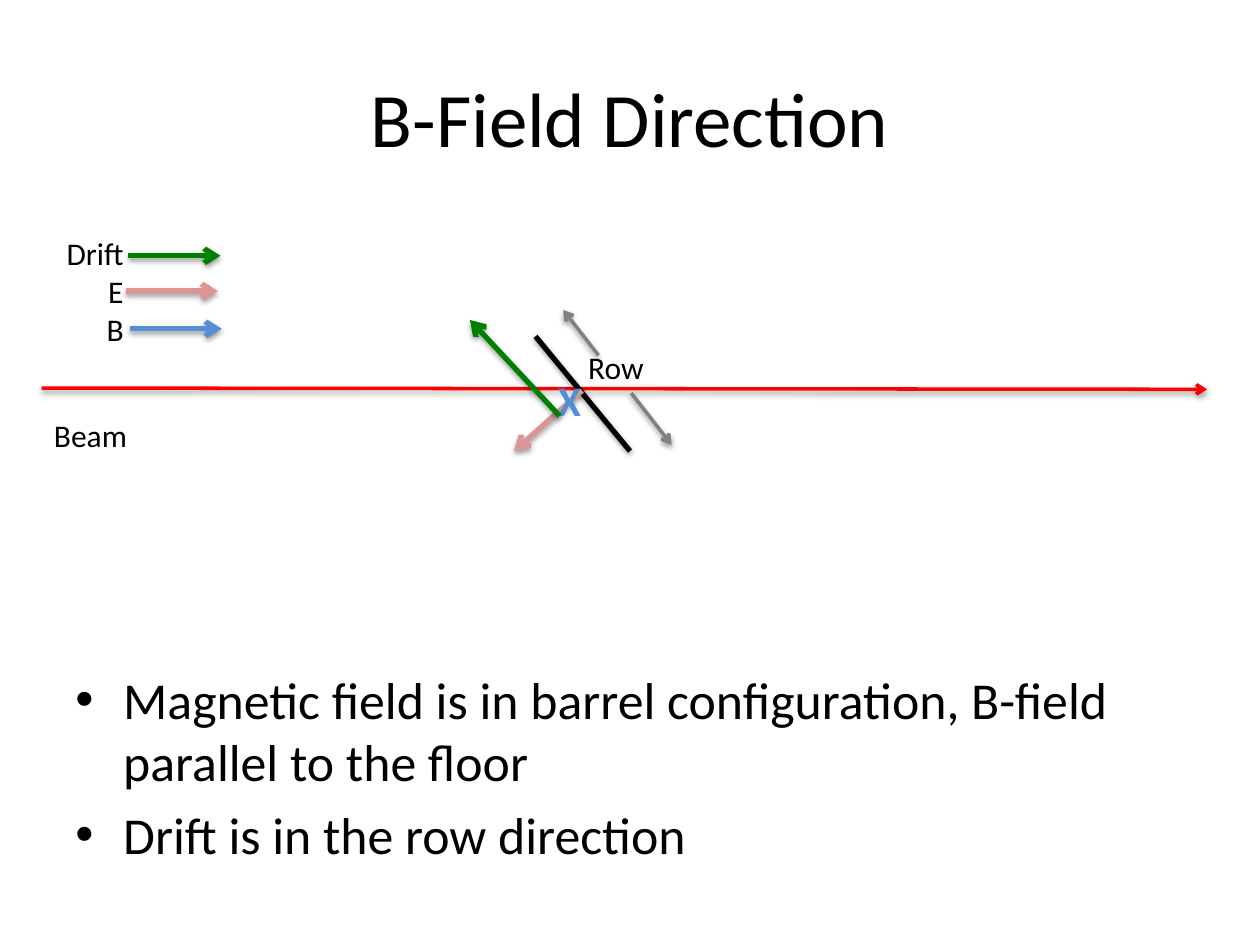
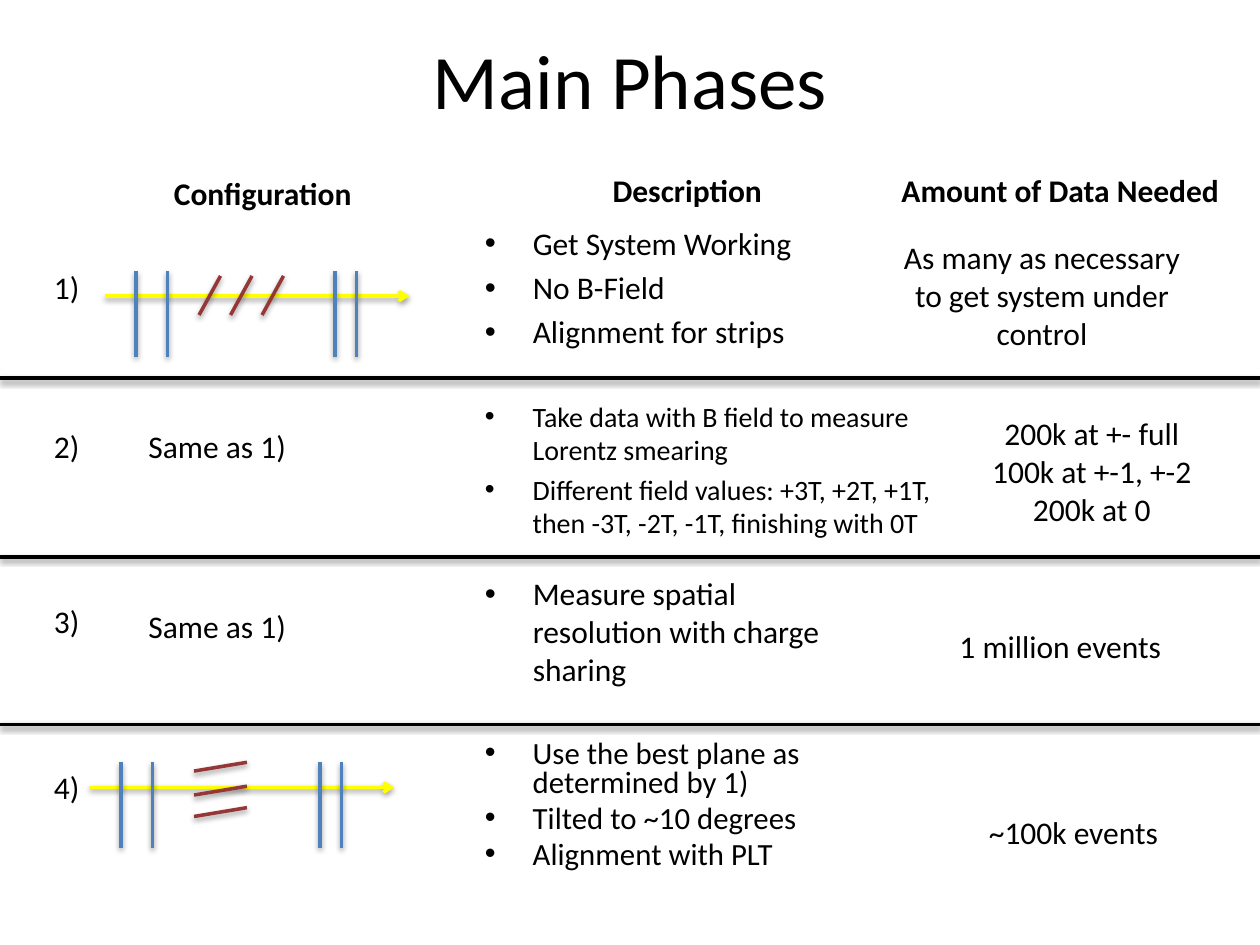
from dataclasses import dataclass

from lxml.etree import SubElement
from pptx import Presentation
from pptx.dml.color import RGBColor
from pptx.enum.shapes import MSO_CONNECTOR as Link
from pptx.enum.text import MSO_ANCHOR as Anchor, MSO_AUTO_SIZE as Auto, PP_ALIGN as Align
from pptx.oxml.ns import qn
from pptx.util import Inches, Pt


@dataclass(frozen=True)
class Theme:
    font: str = "Calibri"
    ink: str = "000000"
    beam: str = "FF0000"
    drift: str = "008000"
    efield: str = "D99694"
    bfield: str = "558ED5"
    row: str = "808080"
    ray: str = "FFFF00"
    plane: str = "4F81BD"
    strip: str = "953735"
    title: float = 44
    lead: float = 29.6
    mark: float = 24
    text: float = 18
    tight: float = 17.6
    small: float = 16
    thin: float = 2
    thick: float = 3


T = Theme()


# Shared elements

def write(frame, lines, size=T.text, color=T.ink, bold=False, align=Align.LEFT,
          bullet=False, lead=None):
    """Fill a text frame, one paragraph for each line."""
    for i, line in enumerate(lines):
        para = frame.add_paragraph() if i else frame.paragraphs[0]
        para.alignment = align
        run = para.add_run()
        run.text = line
        font = run.font
        font.name, font.size, font.bold = T.font, Pt(size), bold
        font.color.rgb = RGBColor.from_string(color)
        if lead:
            para.line_spacing = lead
        if bullet:
            para.space_before = Pt(size * 0.2)
            props = para._p.get_or_add_pPr()
            props.set("marL", str(Inches(0.38)))
            props.set("indent", str(Inches(-0.38)))
            SubElement(props, qn("a:buFont")).set("typeface", "Arial")
            SubElement(props, qn("a:buChar")).set("char", "•")


def label(slide, box, *lines, wrap=True, **style):
    """Add a text box; plain labels grow with their text."""
    frame = slide.shapes.add_textbox(*map(Inches, box)).text_frame
    frame.word_wrap = wrap
    frame.auto_size = Auto.NONE if style.get("bullet") else Auto.SHAPE_TO_FIT_TEXT
    write(frame, lines, **style)


def shade(props):
    """Give a line its soft shadow, straight below."""
    effect = SubElement(props, qn("a:effectLst"))
    drop = SubElement(effect, qn("a:outerShdw"), blurRad="40000", dist="20000",
                      dir="5400000", rotWithShape="0")
    tint = SubElement(drop, qn("a:srgbClr"), val=T.ink)
    SubElement(tint, qn("a:alpha"), val="38000")


def stroke(shapes, start, end, color, width=T.thin, arrow=False):
    """Draw a straight line, with an arrowhead at its end if asked."""
    link = shapes.add_connector(Link.STRAIGHT, *map(Inches, (*start, *end)))
    link.line.color.rgb = RGBColor.from_string(color)
    link.line.width = Pt(width)
    if arrow:
        SubElement(link.line._get_or_add_ln(), qn("a:tailEnd"), type="arrow")
    shade(link._element.spPr)


def start(deck, title, top):
    """Add a title-only slide."""
    slide = deck.slides.add_slide(deck.slide_layouts[5])
    head = slide.shapes.title
    head.left, head.top, head.width, head.height = map(Inches, (0.5, top, 9, 1.25))
    head.text_frame.vertical_anchor = Anchor.MIDDLE
    write(head.text_frame, [title], size=T.title, align=Align.CENTER)
    return slide


def setup(shapes, x, y, strips):
    """Draw a beam from (x, y) through four planes and the given strips."""
    stroke(shapes, (x, y), (x + 2.42, y), T.ray, arrow=True)
    for dx in (0.25, 0.5, 1.83, 2):
        stroke(shapes, (x + dx, y - 0.2), (x + dx, y + 0.48), T.plane)
    for dx, dy, run, rise in strips:
        a, b = x + dx, y + dy
        stroke(shapes, (a, b), (a + run, b - rise), T.strip)


# Slides

def field(deck):
    slide = start(deck, "B-Field Direction", 0.3)
    shapes = slide.shapes
    label(slide, (0.5, 5.25, 9, 1.45),
          "Magnetic field is in barrel configuration, B-field parallel to the floor",
          "Drift is in the row direction", size=T.lead, bullet=True)

    # Beam, sensor row and field vectors
    stroke(shapes, (0.33, 3.08), (9.58, 3.09), T.beam, arrow=True)
    label(slide, (0.33, 3.25, 1.75, 0.4), "Beam")
    stroke(shapes, (4.25, 2.67), (5, 3.58), T.ink, T.thick)
    stroke(shapes, (4.62, 3.1), (4.08, 3.58), T.efield, T.thick, True)
    label(slide, (4.33, 2.92, 0.42, 0.5), "X", size=T.mark, color=T.bfield, bold=True)
    stroke(shapes, (4.44, 3.3), (3.73, 2.54), T.drift, T.thick, True)

    # Legend
    for x, y, color in ((1.02, 2.03, T.drift), (1, 2.31, T.efield), (1.03, 2.61, T.bfield)):
        stroke(shapes, (x, y), (x + 0.73, y), color, T.thick, True)
    label(slide, (0.42, 1.81, 0.66, 1.01), "Drift", "E", "B", wrap=False, align=Align.RIGHT)

    # Row direction
    label(slide, (4.57, 2.71, 0.67, 0.42), "Row")
    stroke(shapes, (4.75, 2.82), (4.47, 2.46), T.row, arrow=True)
    stroke(shapes, (5.01, 3.12), (5.33, 3.53), T.row, arrow=True)


def phases(deck):
    slide = start(deck, "Main Phases", 0)
    shapes = slide.shapes

    # Column heads and row rules
    for x, y, head in ((0.71, 1.33, "Configuration"), (4.08, 1.31, "Description"),
                       (7.04, 1.31, "Amount of Data Needed")):
        label(slide, (x, y, 2.75, 0.42), head, bold=True, align=Align.CENTER)
    for y in (3, 4.42, 5.75):
        stroke(shapes, (0, y), (10, y), T.ink)

    # Configuration
    for i, y in enumerate((2.08, 3.34, 4.73, 6.05), 1):
        label(slide, (0.33, y, 0.83, 0.4), f"{i})")
    for y in (3.34, 4.77):
        label(slide, (1.08, y, 2.17, 0.4), "Same as 1)")
    setup(shapes, 0.83, 2.35, [(0.75 + 0.25 * i, 0.15, 0.17, 0.31) for i in range(3)])
    setup(shapes.add_group_shape().shapes, 0.71, 6.25,
          [(0.83, dy, 0.42, 0.07) for dy in (-0.13, 0.06, 0.23)])

    # Description
    for y, width, style, lines in (
        (1.73, 3.08, {}, ("Get System Working", "No B-Field", "Alignment for strips")),
        (3.12, 3.83, {"size": T.small},
         ("Take data with B field to measure Lorentz smearing",
          "Different field values: +3T, +2T, +1T, then -3T, -2T, -1T, finishing with 0T")),
        (4.51, 3.08, {}, ("Measure spatial resolution with charge sharing",)),
        (5.83, 3.67, {"size": T.tight, "lead": 0.8},
         ("Use the best plane as determined by 1)", "Tilted to ~10 degrees",
          "Alignment with PLT")),
    ):
        label(slide, (3.75, y, width, 1.24), *lines, bullet=True, **style)

    # Amount of data
    for box, lines in (
        ((7.04, 1.84, 2.46, 1.01), ("As many as necessary to get system under control",)),
        ((7.54, 3.24, 2.25, 1.01), ("200k at +- full", "100k at +-1, +-2", "200k at 0")),
        ((7.04, 4.93, 2.75, 0.4), ("1 million events",)),
        ((7.54, 6.4, 1.96, 0.4), ("~100k events",)),
    ):
        label(slide, box, *lines, align=Align.CENTER)


def main():
    deck = Presentation()
    deck.slide_width, deck.slide_height = Inches(10), Inches(7.5)
    field(deck)
    phases(deck)
    deck.save("out.pptx")


main()
